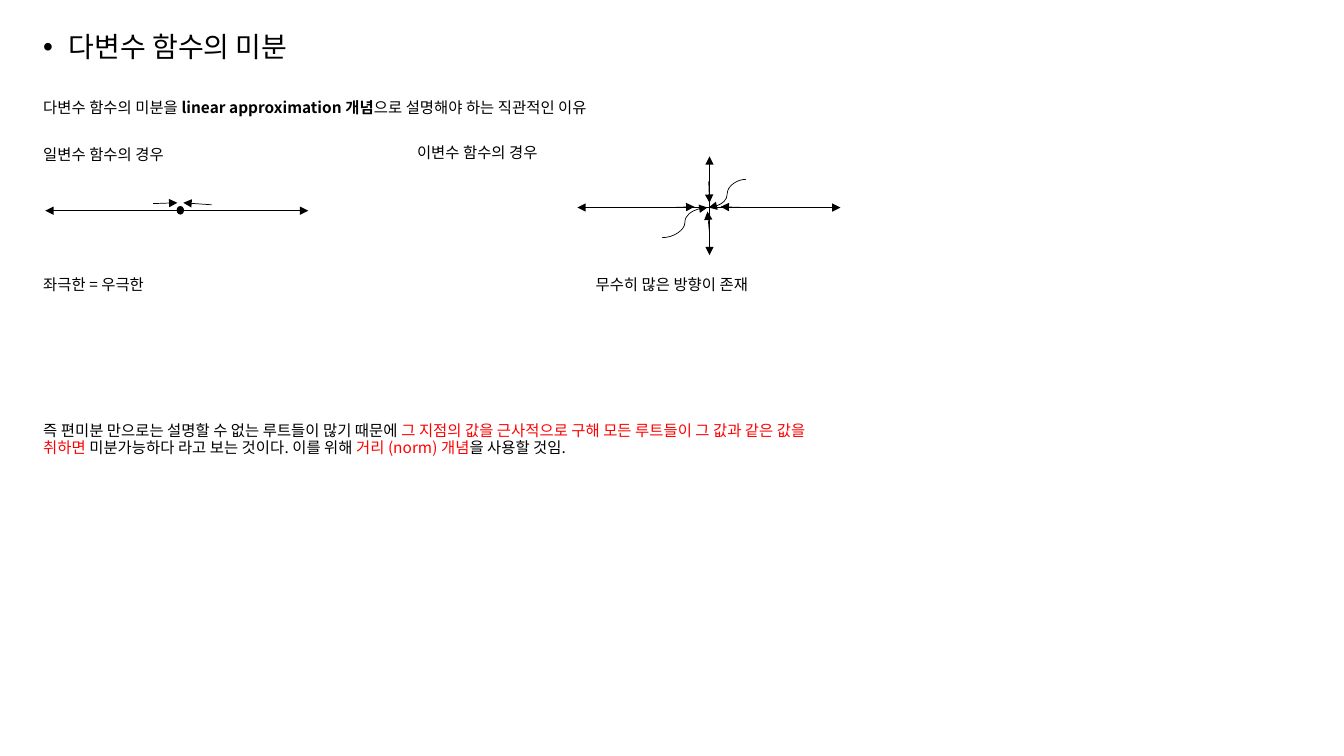
"""Build the slide on differentiating functions of several variables."""
from dataclasses import dataclass

import pptx
import pptx.dml.color
import pptx.enum.shapes
import pptx.enum.text
import pptx.oxml
import pptx.oxml.ns
import pptx.shapes.shapetree
import pptx.slide
import pptx.text.text
import pptx.util
from lxml import etree

Cm = pptx.util.Cm
Pt = pptx.util.Pt
STRAIGHT = pptx.enum.shapes.MSO_CONNECTOR.STRAIGHT
CURVE = pptx.enum.shapes.MSO_CONNECTOR.CURVE
BLACK = pptx.dml.color.RGBColor(0x00, 0x00, 0x00)
RED = pptx.dml.color.RGBColor(0xFF, 0x00, 0x00)
FONT = "Noto Sans CJK KR"
LEFT_MARGIN = 0.84
LINE_HEIGHT = 0.86
RESULT_TOP = 6.86
FRAME_FORMAT = {
    "word_wrap": True,
    "vertical_anchor": pptx.enum.text.MSO_ANCHOR.TOP,
    "auto_size": pptx.enum.text.MSO_AUTO_SIZE.NONE,
}
PARAGRAPH_FORMAT = {"line_spacing": 0.9, "space_before": Pt(10)}


@dataclass(frozen=True)
class Phrase:
    text: str
    color: pptx.dml.color.RGBColor = BLACK
    bold: bool = False


@dataclass(frozen=True)
class Note:
    left: float
    top: float
    width: float
    height: float
    phrases: tuple[Phrase, ...]
    size: int = 11
    bullet: bool = False


@dataclass(frozen=True)
class Arrow:
    start: tuple[float, float]
    end: tuple[float, float]
    both_ends: bool = False
    kind: pptx.enum.shapes.MSO_CONNECTOR = STRAIGHT


@dataclass(frozen=True)
class Dot:
    left: float
    top: float
    width: float
    height: float


@dataclass(frozen=True)
class Diagram:
    arrows: tuple[Arrow, ...]
    dots: tuple[Dot, ...] = ()


NOTES = (
    Note(LEFT_MARGIN, 0.71, 8.23, 1.09, (Phrase("다변수 함수의 미분"),), 20, True),
    Note(LEFT_MARGIN, 2.39, 15.85, LINE_HEIGHT, (
        Phrase("다변수 함수의 미분을 "),
        Phrase("linear approximation 개념", bold=True),
        Phrase("으로 설명해야 하는 직관적인 이유"),
    )),
    Note(LEFT_MARGIN, 3.58, 4.72, LINE_HEIGHT, (Phrase("일변수 함수의 경우"),)),
    Note(LEFT_MARGIN, RESULT_TOP, 4.04, LINE_HEIGHT, (Phrase("좌극한 = 우극한"),)),
    Note(10.26, 3.53, 4.72, LINE_HEIGHT, (Phrase("이변수 함수의 경우"),)),
    Note(14.76, RESULT_TOP, 6.15, LINE_HEIGHT, (Phrase("무수히 많은 방향이 존재"),)),
    Note(LEFT_MARGIN, 10.54, 19.89, 1.5, (
        Phrase("즉 편미분 만으로는 설명할 수 없는 루트들이 많기 때문에 "),
        Phrase("그 지점의 값을 근사적으로 구해 모든 루트들이 그 값과 같은 값을 취하면 ", RED),
        Phrase("미분가능하다 라고 보는 것이다. 이를 위해 "),
        Phrase("거리 (norm) 개념", RED),
        Phrase("을 사용할 것임."),
    )),
)
ONE_VARIABLE = Diagram(
    arrows=(
        Arrow((1.14, 5.31), (7.77, 5.31), both_ends=True),
        Arrow((3.86, 5.13), (4.47, 5.11)),
        Arrow((5.33, 5.16), (4.62, 5.11)),
    ),
    dots=(Dot(4.47, 5.21, 0.15, 0.18),),
)
TWO_VARIABLES = Diagram(
    arrows=(
        Arrow((14.55, 5.23), (21.18, 5.23), both_ends=True),
        Arrow((17.88, 6.43), (17.88, 3.94), both_ends=True),
        Arrow((16.89, 5.23), (17.5, 5.21)),
        Arrow((18.8, 5.23), (18.16, 5.21)),
        Arrow((17.88, 5.87), (17.83, 5.33)),
        Arrow((17.86, 4.57), (17.88, 5.11)),
        Arrow((18.8, 4.52), (17.86, 5.23), kind=CURVE),
        Arrow((16.69, 5.99), (17.83, 5.23), kind=CURVE),
    ),
)


def apply_format(target: object, values: dict[str, object]) -> None:
    """Set each named attribute of the target."""
    for name, value in values.items():
        setattr(target, name, value)


def add_child(parent: etree.ElementBase, tag: str, **attributes: str) -> None:
    """Append a drawing element to its parent."""
    etree.SubElement(parent, pptx.oxml.ns.qn(tag), **attributes)


def add_phrase(paragraph: pptx.text.text._Paragraph, phrase: Phrase, size: int) -> None:
    """Append one formatted run to the paragraph."""
    run = paragraph.add_run()
    run.text = phrase.text
    apply_format(run.font, {"name": FONT, "size": Pt(size), "bold": phrase.bold})
    run.font.color.rgb = phrase.color
    add_child(run.font._element, "a:ea", typeface=FONT)


def add_note(slide: pptx.slide.Slide, note: Note) -> None:
    """Add a text box with its phrases."""
    shape = slide.shapes.add_textbox(
        Cm(note.left), Cm(note.top), Cm(note.width), Cm(note.height))
    apply_format(shape.text_frame, FRAME_FORMAT)
    paragraph = shape.text_frame.paragraphs[0]
    apply_format(paragraph, PARAGRAPH_FORMAT)
    if note.bullet:
        properties = paragraph._p.get_or_add_pPr()
        properties.set("marL", str(Cm(0.64)))
        properties.set("indent", str(Cm(-0.64)))
        add_child(properties, "a:buFont", typeface="Arial")
        add_child(properties, "a:buChar", char="•")
    for phrase in note.phrases:
        add_phrase(paragraph, phrase, note.size)


def add_arrow(shapes: pptx.shapes.shapetree.GroupShapes, arrow: Arrow) -> None:
    """Add a straight or curved arrow."""
    connector = shapes.add_connector(
        arrow.kind, *(Cm(value) for value in arrow.start + arrow.end))
    connector.line.width = Pt(0.5)
    connector.line.color.rgb = BLACK
    line = connector.line._get_or_add_ln()
    if arrow.both_ends:
        add_child(line, "a:headEnd", type="triangle")
    add_child(line, "a:tailEnd", type="triangle")
    add_child(connector._element.spPr, "a:effectLst")


def add_dot(shapes: pptx.shapes.shapetree.GroupShapes, dot: Dot) -> None:
    """Add the point that the arrows approach."""
    shape = shapes.add_shape(
        pptx.enum.shapes.MSO_SHAPE.OVAL,
        Cm(dot.left), Cm(dot.top), Cm(dot.width), Cm(dot.height))
    shape.shadow.inherit = False
    shape.fill.solid()
    shape.fill.fore_color.rgb = BLACK
    shape.line.color.rgb = BLACK
    shape.line.width = Pt(1)


def add_diagram(slide: pptx.slide.Slide, diagram: Diagram) -> None:
    """Add a group of arrows and dots."""
    group = slide.shapes.add_group_shape()
    for arrow in diagram.arrows:
        add_arrow(group.shapes, arrow)
    for dot in diagram.dots:
        add_dot(group.shapes, dot)


def main() -> None:
    """Create and save the presentation."""
    presentation = pptx.Presentation()
    apply_format(presentation, {"slide_width": Cm(33.87), "slide_height": Cm(19.05)})
    slide = presentation.slides.add_slide(presentation.slide_layouts[6])
    for diagram in (ONE_VARIABLE, TWO_VARIABLES):
        add_diagram(slide, diagram)
    for note in NOTES:
        add_note(slide, note)
    presentation.save("out.pptx")


if __name__ == "__main__":
    main()
